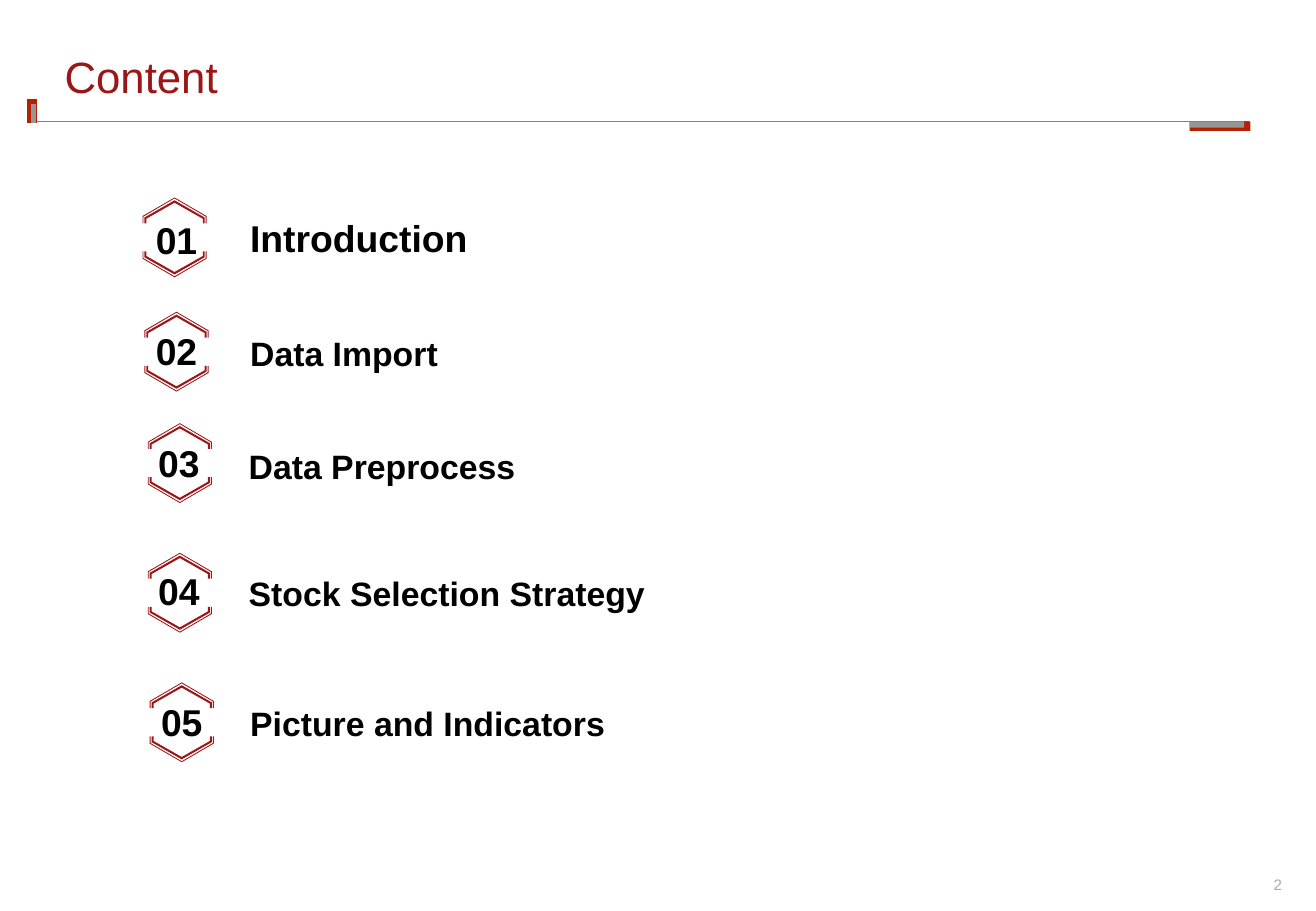
from lxml import etree
from pptx import Presentation
from pptx.dml.color import RGBColor
from pptx.enum.shapes import MSO_CONNECTOR, MSO_SHAPE
from pptx.enum.text import MSO_ANCHOR, PP_ALIGN
from pptx.oxml.ns import qn
from pptx.util import Cm, Pt

STRAIGHT = MSO_CONNECTOR.STRAIGHT
RECT = MSO_SHAPE.RECTANGLE
TOP, MIDDLE, BOTTOM = MSO_ANCHOR.TOP, MSO_ANCHOR.MIDDLE, MSO_ANCHOR.BOTTOM
LEFT, CENTER, RIGHT = PP_ALIGN.LEFT, PP_ALIGN.CENTER, PP_ALIGN.RIGHT

FONT = "Arial"
CRIMSON, BRICK, SILVER, GRAY = "9B1717", "B42100", "969696", "808080"
BLACK, PAGE_GRAY = "000000", "ADABA1"

TITLE = "Content"
PAGE = "2"
# label, size, label left/top/width, badge left/top, number left/top
ITEMS = [
    ("Introduction", 22.1, (4.98, 4.37, 5.11), (2.98, 4.13), (2.79, 4.32)),
    ("Data Import", 20, (4.98, 6.83, 4.52), (3.02, 6.52), (2.79, 6.63)),
    ("Data Preprocess", 20, (4.95, 9.19, 6.15), (3.09, 8.85), (2.84, 8.97)),
    ("Stock Selection Strategy", 20, (4.95, 11.86, 8.86), (3.09, 11.56), (2.84, 11.66)),
    ("Picture and Indicators", 20, (4.98, 14.58, 8), (3.13, 14.27), (2.9, 14.38)),
]
RULES = [
    ((0.76, 2.54), (26.11, 2.54), GRAY, 1),
    ((0.66, 2.57), (0.66, 2.06), BRICK, 6),
    ((0.71, 2.57), (0.71, 2.18), SILVER, 3),
]
BARS = [
    (24.87, 2.54, 1.27, 0.2, BRICK),
    (24.87, 2.54, 1.14, 0.13, SILVER),
]
BADGE_W, BADGE_H, CAP_H = 1.34, 1.67, 0.54
# inset, apex, shoulder, side thickness, slope thickness
BANDS = [(0, 0, 0.39, 0.02, 0.02), (0.04, 0.06, 0.42, 0.04, 0.05)]


def rgb(value):
    return RGBColor.from_string(value)


def paint(sp, color):
    sp.shadow.inherit = False
    sp.fill.solid()
    sp.fill.fore_color.rgb = rgb(color)
    sp.line.fill.background()


def write(sp, text, size, color, align, anchor, bold=False, wrap=True, margin=None):
    tf = sp.text_frame
    tf.word_wrap = wrap
    tf.vertical_anchor = anchor
    if margin is not None:
        tf.margin_left = tf.margin_right = tf.margin_top = tf.margin_bottom = margin
    p = tf.paragraphs[0]
    p.text = text
    p.alignment = align
    p.font.name, p.font.size, p.font.bold = FONT, Pt(size), bold
    p.font.color.rgb = rgb(color)
    return p


def add_text(slide, left, top, width, height, *args, **kwargs):
    sp = slide.shapes.add_textbox(Cm(left), Cm(top), Cm(width), Cm(height))
    write(sp, *args, **kwargs)


def add_rule(slide, start, end, color, width):
    line = slide.shapes.add_connector(STRAIGHT, *map(Cm, start + end))
    line.line.color.rgb = rgb(color)
    line.line.width = Pt(width)
    etree.SubElement(line._element.spPr, qn("a:effectLst"))


def cap_points(inset, apex, shoulder, side, slope):
    def edge(x, peak, bend):
        return [(x, CAP_H), (x, bend), (BADGE_W / 2, peak),
                (BADGE_W - x, bend), (BADGE_W - x, CAP_H)]

    outer = edge(inset, apex, shoulder)
    inner = edge(inset + side, apex + slope, shoulder + slope / 2)
    return outer + inner[::-1]


def add_badge(slide, left, top):
    group = slide.shapes.add_group_shape()
    for flipped in (False, True):
        for band in BANDS:
            points = [(Cm(left + x), Cm(top + (BADGE_H - y if flipped else y)))
                      for x, y in cap_points(*band)]
            builder = group.shapes.build_freeform(*points[0])
            builder.add_line_segments(points[1:], close=True)
            paint(builder.convert_to_shape(), CRIMSON)


def main():
    prs = Presentation()
    prs.slide_width, prs.slide_height = Cm(27.51), Cm(19.05)
    slide = prs.slides.add_slide(prs.slide_layouts[5])

    add_text(slide, 26.01, 18.31, 0.79, 0.38, PAGE, 9, PAGE_GRAY, RIGHT, BOTTOM,
             wrap=False, margin=0)
    for rule in RULES:
        add_rule(slide, *rule)
    for left, top, width, height, color in BARS:
        paint(slide.shapes.add_shape(RECT, Cm(left), Cm(top), Cm(width), Cm(height)), color)

    title = slide.shapes.title
    title.left, title.top, title.width, title.height = Cm(1.35), Cm(1.17), Cm(4.8), Cm(1.04)
    p = write(title, TITLE, 25.9, CRIMSON, LEFT, TOP, margin=0)
    p.line_spacing = 0.9

    for i, (label, size, (left, top, width), badge, number) in enumerate(ITEMS, 1):
        add_badge(slide, *badge)
        add_text(slide, *number, 1.8, 1.4, f"{i:02d}", 22.1, BLACK, CENTER, MIDDLE, bold=True)
        add_text(slide, left, top, width, 1.12, label, size, BLACK, LEFT, TOP,
                 bold=True, wrap=False)

    prs.save("out.pptx")


if __name__ == "__main__":
    main()
